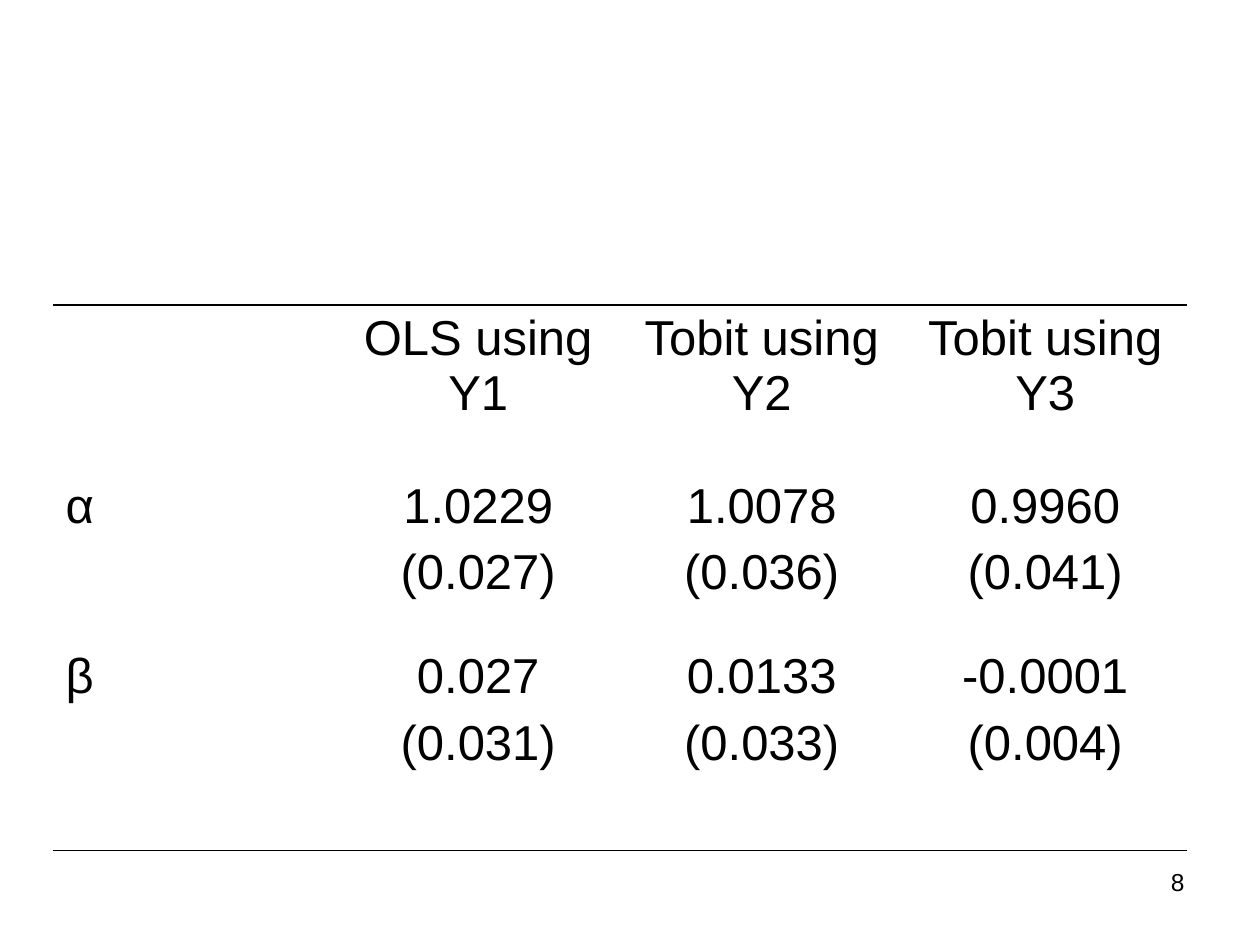
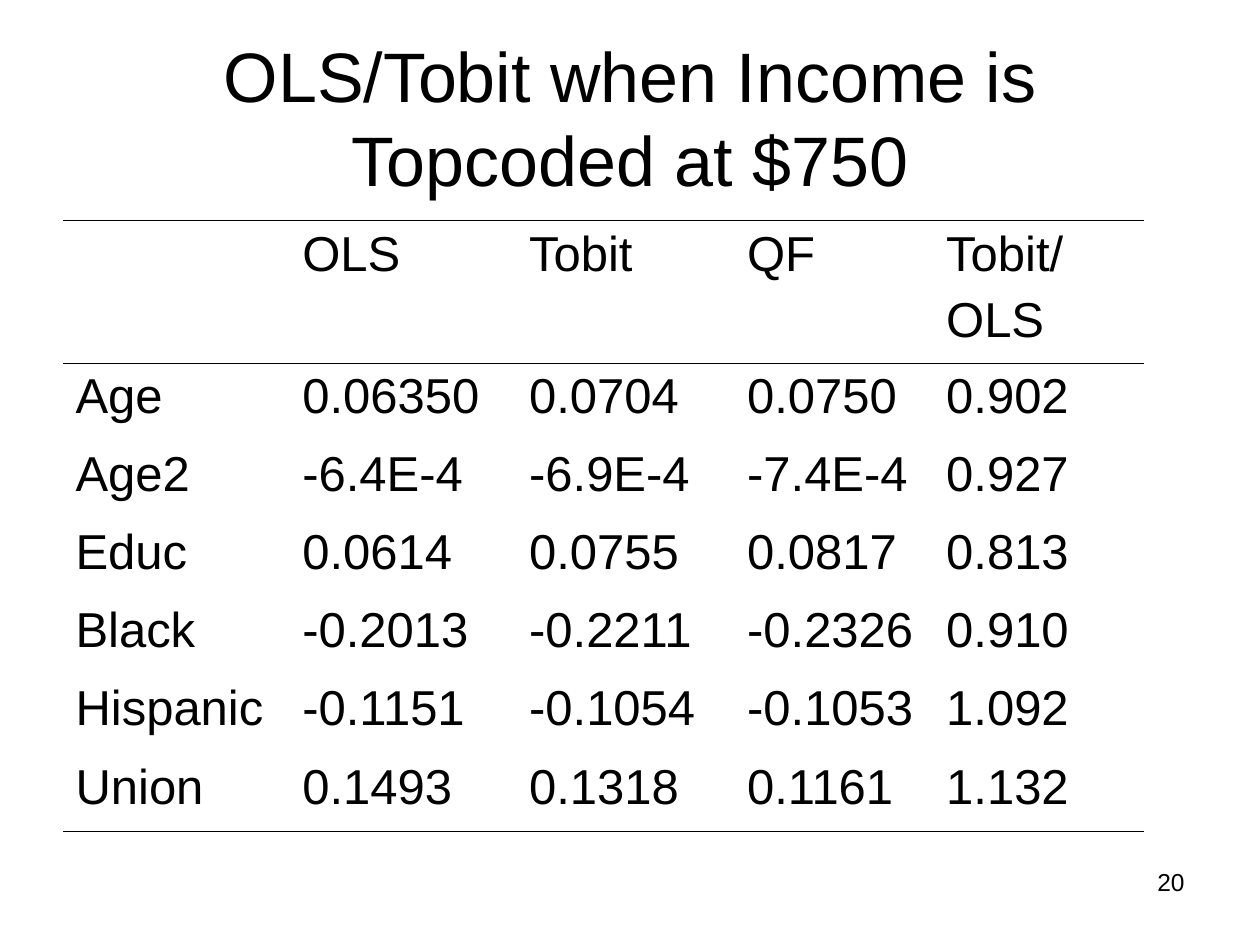
from lxml.etree import SubElement
from pptx import Presentation
from pptx.dml.color import RGBColor
from pptx.enum.text import MSO_ANCHOR, PP_ALIGN
from pptx.oxml.ns import qn
from pptx.util import Inches, Pt

BLACK = RGBColor(0, 0, 0)
FONT = "Arial"
THICK, THIN = Pt(1.08), Pt(0.45)

MODELS = [
    ["", "OLS using Y1", "Tobit using Y2", "Tobit using Y3"],
    ["α", "1.0229\n(0.027)", "1.0078\n(0.036)", "0.9960\n(0.041)"],
    ["β", "0.027\n(0.031)", "0.0133\n(0.033)", "-0.0001\n(0.004)"],
]
INCOME = [
    ["", "OLS", "Tobit", "QF", "Tobit/\nOLS"],
    ["Age", "0.06350", "0.0704", "0.0750", "0.902"],
    ["Age2", "-6.4E-4", "-6.9E-4", "-7.4E-4", "0.927"],
    ["Educ", "0.0614", "0.0755", "0.0817", "0.813"],
    ["Black", "-0.2013", "-0.2211", "-0.2326", "0.910"],
    ["Hispanic", "-0.1151", "-0.1054", "-0.1053", "1.092"],
    ["Union", "0.1493", "0.1318", "0.1161", "1.132"],
]


def write(frame, text, size, align, before=0):
    """Fill a text frame, one paragraph for each line of text."""
    frame.text = text
    for par in frame.paragraphs:
        par.alignment = align
        par.space_before = Pt(before)
        par.font.name = FONT
        par.font.size = Pt(size)
        par.font.color.rgb = BLACK


def add_text(slide, box, text, size, align, anchor=MSO_ANCHOR.TOP):
    frame = slide.shapes.add_textbox(*map(Inches, box)).text_frame
    frame.word_wrap = True
    frame.vertical_anchor = anchor
    write(frame, text, size, align)


def add_title(slide, text):
    add_text(slide, (0.5, 0.3, 9, 1.25), text, 40, PP_ALIGN.CENTER,
             MSO_ANCHOR.MIDDLE)


def add_number(slide, number):
    add_text(slide, (7.17, 6.83, 2.33, 0.52), str(number), 14, PP_ALIGN.RIGHT)


def set_border(cell, side, width):
    """Draw one side of a cell (L, R, T or B), or clear it if width is None."""
    line = SubElement(cell._tc.get_or_add_tcPr(), qn("a:ln" + side))
    if width is None:
        SubElement(line, qn("a:noFill"))
        return
    line.set("w", str(int(width)))
    fill = SubElement(line, qn("a:solidFill"))
    SubElement(fill, qn("a:srgbClr")).set("val", str(BLACK))


def add_grid(slide, left, top, widths, heights, data, align, rules):
    """Add a plain table; rules maps a row edge, from 0 at the top, to a width."""
    frame = slide.shapes.add_table(
        len(heights), len(widths), Inches(left), Inches(top),
        Inches(sum(widths)), Inches(sum(heights)))
    table = frame.table
    table.first_row = table.horz_banding = False
    for column, width in zip(table.columns, widths):
        column.width = Inches(width)
    for r, (height, texts) in enumerate(zip(heights, data)):
        table.rows[r].height = Inches(height)
        for c, text in enumerate(texts):
            cell = table.cell(r, c)
            write(cell.text_frame, text, 28, align if c else PP_ALIGN.LEFT, 7)
            edges = {"L": None, "R": None,
                     "T": rules.get(r), "B": rules.get(r + 1)}
            for side, width in edges.items():
                set_border(cell, side, width)
            cell.fill.background()


def main():
    deck = Presentation()
    deck.slide_width, deck.slide_height = Inches(10), Inches(7.5)
    blank = deck.slide_layouts[6]

    slide = deck.slides.add_slide(blank)
    add_number(slide, 8)
    add_grid(slide, 0.42, 2.42, [2.25] * 4, [1.33, 1.35, 1.65], MODELS,
             PP_ALIGN.CENTER, {0: THICK, 3: THICK})

    slide = deck.slides.add_slide(blank)
    add_number(slide, 20)
    add_title(slide, "OLS/Tobit when Income is Topcoded at $750")
    add_grid(slide, 0.5, 1.75, [1.8, 1.8, 1.73, 1.58, 1.67],
             [1.13] + [0.62] * 6, INCOME, PP_ALIGN.LEFT,
             {0: THICK, 1: THIN, 7: THICK})

    deck.save("out.pptx")


if __name__ == "__main__":
    main()
